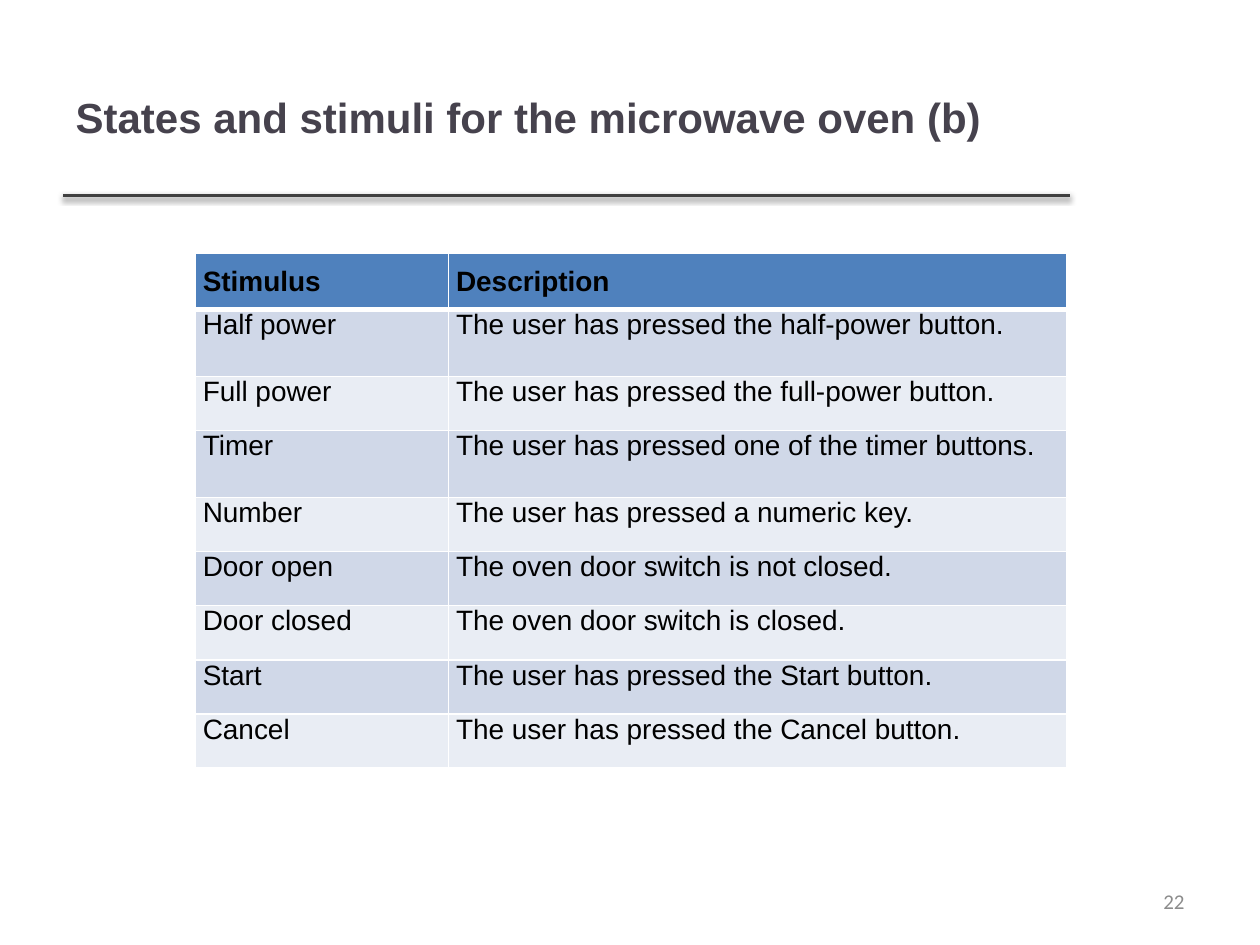
from dataclasses import dataclass

from lxml.etree import SubElement
from pptx import Presentation
from pptx.dml.color import RGBColor
from pptx.enum.shapes import MSO_CONNECTOR as Connector
from pptx.enum.text import MSO_ANCHOR as Anchor, PP_ALIGN as Align
from pptx.oxml import parse_xml
from pptx.oxml.ns import nsdecls, qn
from pptx.slide import Slide
from pptx.util import Inches, Pt

BLACK = RGBColor(0x00, 0x00, 0x00)
WHITE = RGBColor(0xFF, 0xFF, 0xFF)
TITLE_GREY = RGBColor(0x46, 0x42, 0x4D)
RULE_GREY = RGBColor(0x40, 0x40, 0x40)
NUMBER_GREY = RGBColor(0x8C, 0x8C, 0x8C)
HEADER_BLUE = RGBColor(0x4F, 0x81, 0xBD)
BANDS = (RGBColor(0xD0, 0xD8, 0xE8), RGBColor(0xE9, 0xED, 0xF4))

STIMULI = [
    ("Stimulus", "Description"),
    ("Half power", "The user has pressed the half-power button."),
    ("Full power", "The user has pressed the full-power button."),
    ("Timer", "The user has pressed one of the timer buttons."),
    ("Number", "The user has pressed a numeric key."),
    ("Door open", "The oven door switch is not closed."),
    ("Door closed", "The oven door switch is closed."),
    ("Start", "The user has pressed the Start button."),
    ("Cancel", "The user has pressed the Cancel button."),
]
COLUMN_WIDTHS = (2.01, 4.91)
ROW_HEIGHT = 0.43
TALL_ROWS = {1: 0.53, 3: 0.53}


@dataclass
class StyledSlide:
    slide: Slide
    font: str = "Arial"
    number_font: str = "Calibri"

    def add_text(self, frame, text, size, color, align, bold=False, font=None):
        paragraph = frame.paragraphs[0]
        paragraph.alignment = align
        run = paragraph.add_run()
        run.text = text
        run.font.name = font or self.font
        run.font.size = Pt(size)
        run.font.bold = bold
        run.font.color.rgb = color

    def title(self, text, left, top, width, height):
        heading = self.slide.shapes.title
        heading.left, heading.top = Inches(left), Inches(top)
        heading.width, heading.height = Inches(width), Inches(height)
        heading.text_frame.vertical_anchor = Anchor.MIDDLE
        self.add_text(heading.text_frame, text, 24, TITLE_GREY, Align.LEFT, True)

    def rule(self, left, right, y):
        rule = self.slide.shapes.add_connector(
            Connector.STRAIGHT, Inches(left), Inches(y), Inches(right), Inches(y))
        rule.line.color.rgb = RULE_GREY
        rule.line.width = Pt(2)
        rule._element.spPr.append(parse_xml(
            f'<a:effectLst {nsdecls("a")}>'
            f'<a:outerShdw blurRad="{Pt(3.1)}" dist="{Pt(1.6)}" dir="5400000" rotWithShape="0">'
            '<a:srgbClr val="000000"><a:alpha val="38000"/></a:srgbClr>'
            '</a:outerShdw></a:effectLst>'))

    def borders(self, cell, top, bottom):
        properties = cell._tc.get_or_add_tcPr()
        for side, width in (("L", 1), ("R", 1), ("T", top), ("B", bottom)):
            border = SubElement(properties, qn(f"a:ln{side}"), w=str(Pt(width)))
            fill = SubElement(border, qn("a:solidFill"))
            SubElement(fill, qn("a:srgbClr"), val=str(WHITE))

    def table(self, rows, left, top):
        heights = [TALL_ROWS.get(i, ROW_HEIGHT) for i in range(len(rows))]
        table = self.slide.shapes.add_table(
            len(rows), len(COLUMN_WIDTHS), Inches(left), Inches(top),
            Inches(sum(COLUMN_WIDTHS)), Inches(sum(heights))).table
        for column, width in zip(table.columns, COLUMN_WIDTHS):
            column.width = Inches(width)
        for row, height in zip(table.rows, heights):
            row.height = Inches(height)
        for i, texts in enumerate(rows):
            header = i == 0
            for cell, text in zip(table.rows[i].cells, texts):
                cell.margin_left = cell.margin_right = Inches(0.06)
                cell.margin_top = Inches(0.1 if header else 0)
                cell.margin_bottom = Inches(0.1)
                self.borders(cell, 3 if i == 1 else 1, 3 if header else 1)
                cell.fill.solid()
                cell.fill.fore_color.rgb = HEADER_BLUE if header else BANDS[(i - 1) % 2]
                self.add_text(cell.text_frame, text, 16, BLACK, Align.JUSTIFY, header)

    def page_number(self, text, left, top, width, height):
        frame = self.slide.shapes.add_textbox(
            Inches(left), Inches(top), Inches(width), Inches(height)).text_frame
        frame.word_wrap = True
        frame.vertical_anchor = Anchor.MIDDLE
        self.add_text(frame, text, 12, NUMBER_GREY, Align.RIGHT, font=self.number_font)


def main():
    deck = Presentation()
    deck.slide_width, deck.slide_height = Inches(10), Inches(7.5)
    page = StyledSlide(deck.slides.add_slide(deck.slide_layouts[5]))
    page.rule(0.5, 8.49, 1.55)
    page.title("States and stimuli for the microwave oven (b)", 0.5, 0.3, 7.98, 1.25)
    page.table(STIMULI, 1.55, 2.01)
    page.page_number("22", 7.17, 6.95, 2.33, 0.4)
    deck.save("out.pptx")


if __name__ == "__main__":
    main()
